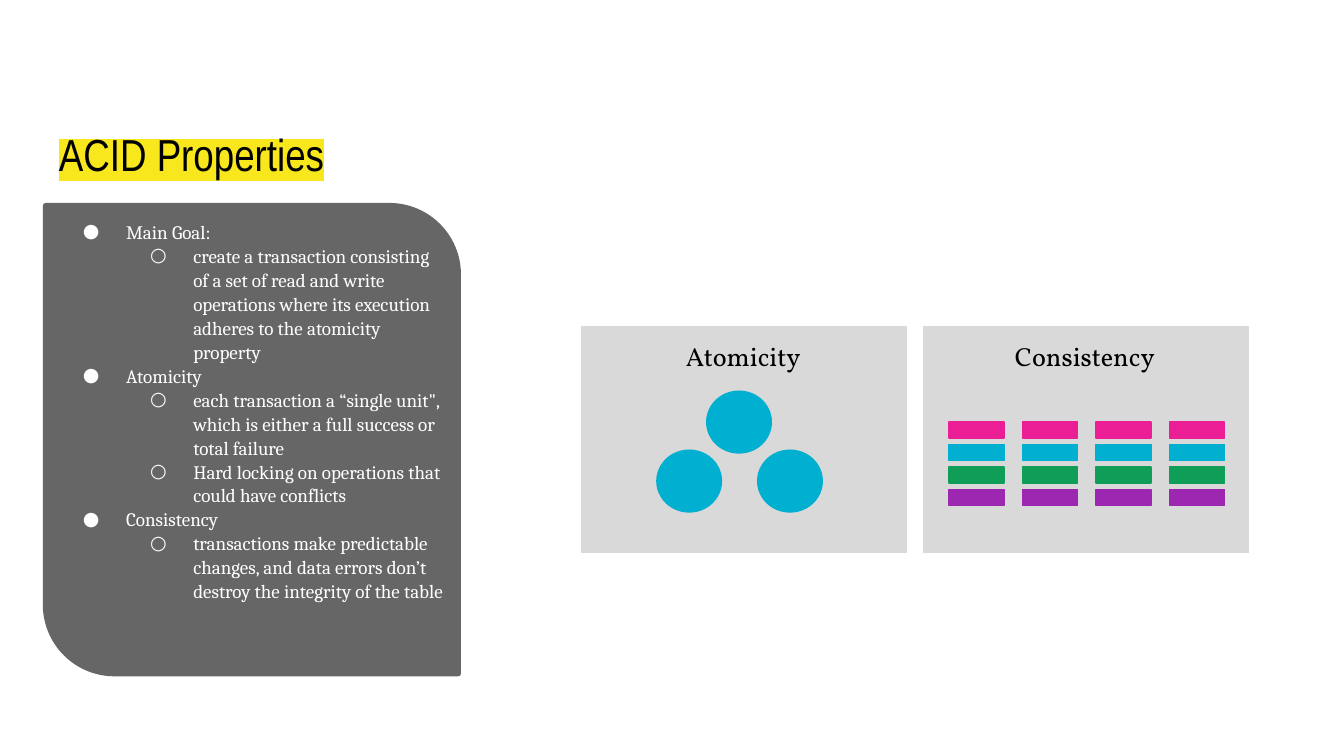
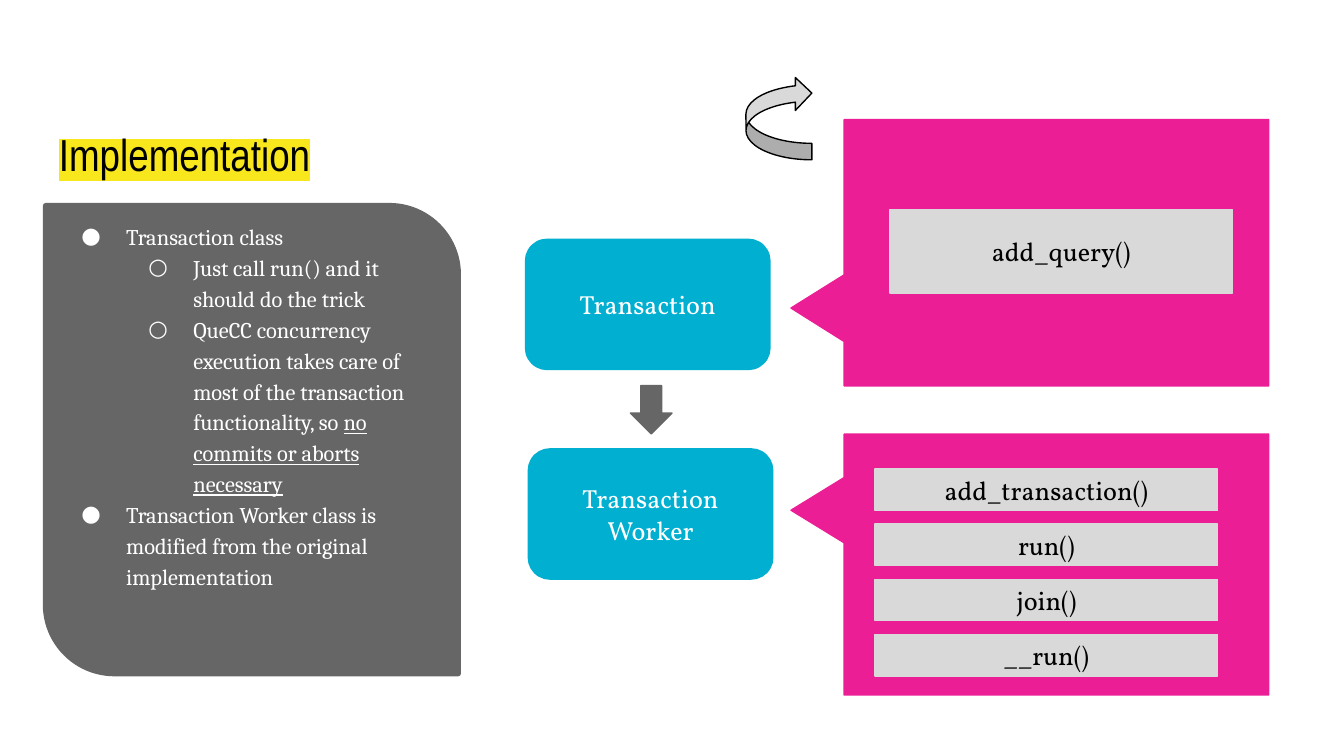
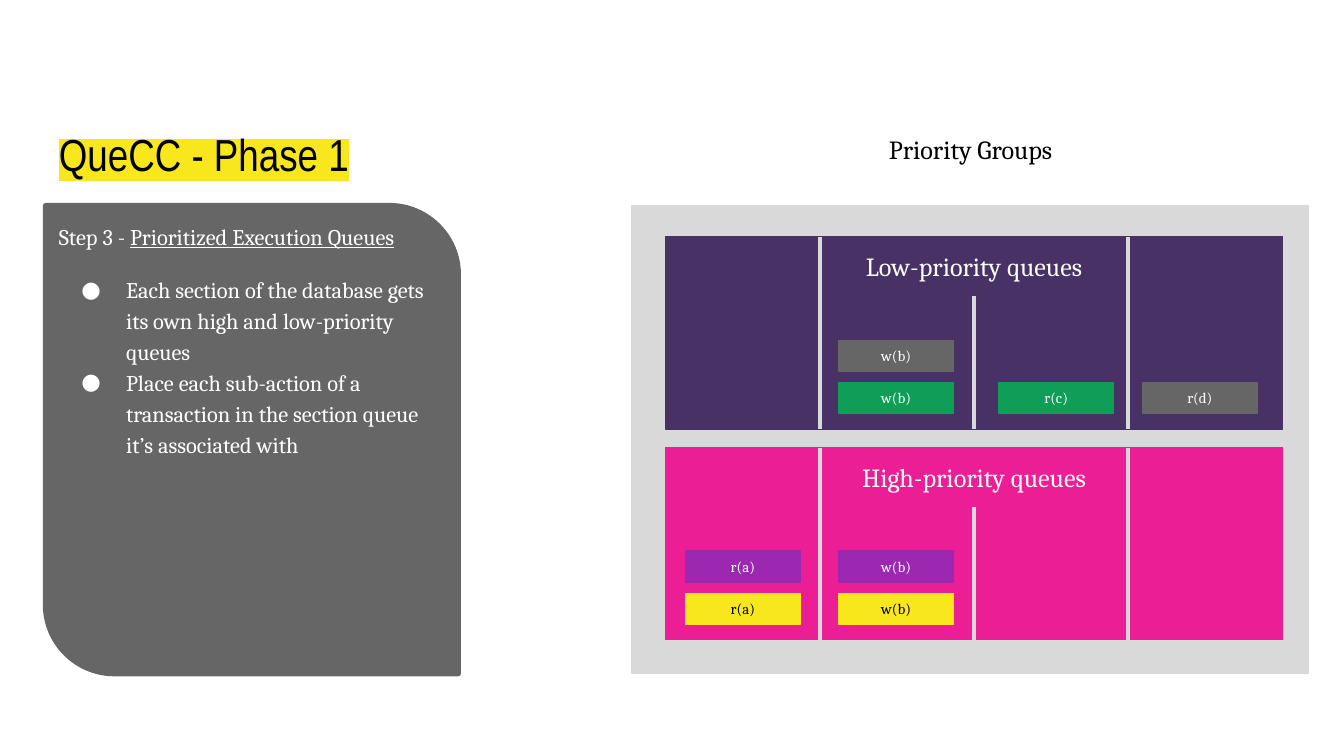
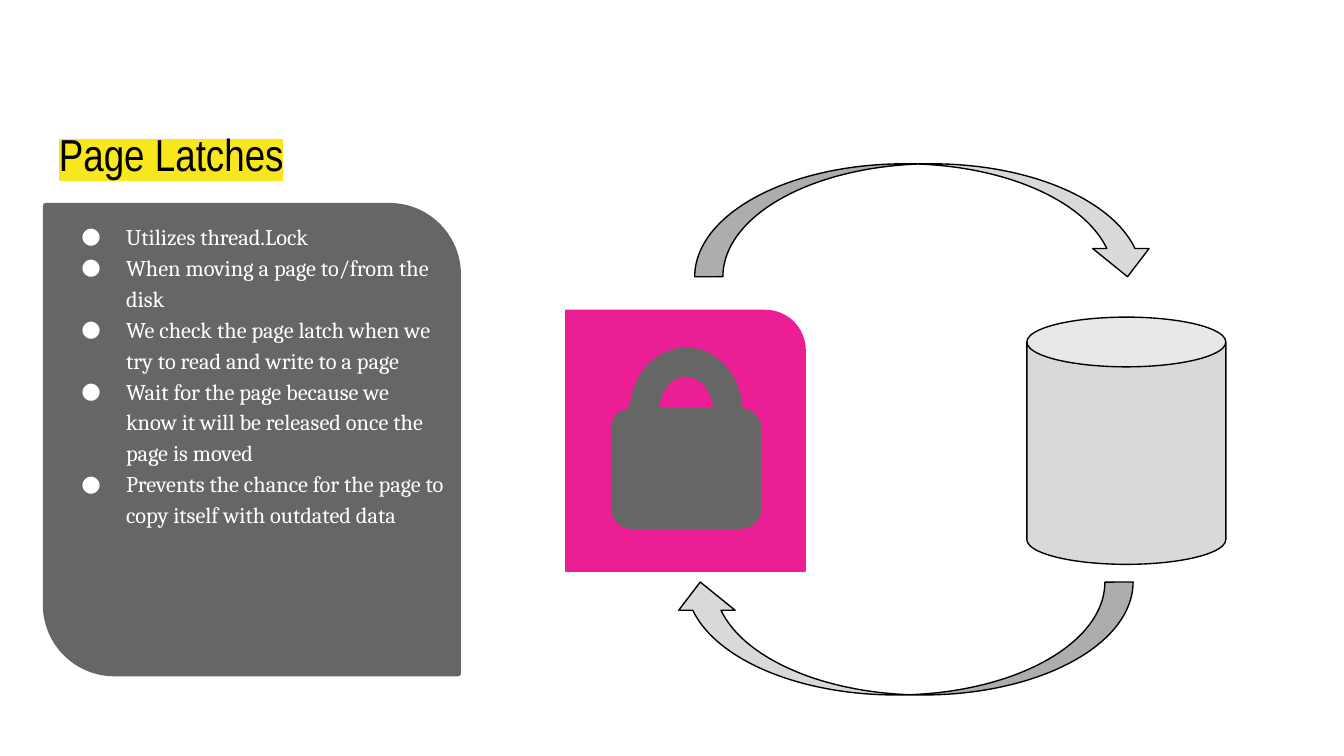
from lxml import etree
from pptx import Presentation
from pptx.dml.color import RGBColor
from pptx.enum.shapes import MSO_CONNECTOR, MSO_SHAPE
from pptx.enum.text import MSO_ANCHOR, PP_ALIGN
from pptx.oxml.ns import qn
from pptx.util import Pt

BLACK = RGBColor(0x00, 0x00, 0x00)
WHITE = RGBColor(0xFF, 0xFF, 0xFF)
GRAY = RGBColor(0x66, 0x66, 0x66)
LIGHT = RGBColor(0xD9, 0xD9, 0xD9)
YELLOW = RGBColor(0xF8, 0xE7, 0x1C)
CYAN = RGBColor(0x01, 0xAF, 0xD1)
PINK = RGBColor(0xEB, 0x1E, 0x95)
GREEN = RGBColor(0x0F, 0x9D, 0x58)
PURPLE = RGBColor(0x9C, 0x27, 0xB0)
INDIGO = RGBColor(0x48, 0x31, 0x65)

RECT = MSO_SHAPE.RECTANGLE
OVAL = MSO_SHAPE.OVAL
DIAG_RECT = MSO_SHAPE.ROUND_2_DIAG_RECTANGLE
CORNER_RECT = MSO_SHAPE.ROUND_1_RECTANGLE
ROUND_RECT = MSO_SHAPE.ROUNDED_RECTANGLE
PROCESS = MSO_SHAPE.FLOWCHART_ALTERNATE_PROCESS
CALLOUT = MSO_SHAPE.RECTANGULAR_CALLOUT
DOWN_ARROW = MSO_SHAPE.DOWN_ARROW
CURVED_RIGHT = MSO_SHAPE.CURVED_RIGHT_ARROW
CURVED_DOWN = MSO_SHAPE.CURVED_DOWN_ARROW
BLOCK_ARC = MSO_SHAPE.BLOCK_ARC
CAN = MSO_SHAPE.CAN
STRAIGHT = MSO_CONNECTOR.STRAIGHT
TOP, MIDDLE, BOTTOM = MSO_ANCHOR.TOP, MSO_ANCHOR.MIDDLE, MSO_ANCHOR.BOTTOM
LEFT, CENTER = PP_ALIGN.LEFT, PP_ALIGN.CENTER

TITLE_FONT, BODY_FONT, LABEL_FONT = "Arial Narrow", "Cambria", "Vollkorn"
PANEL = (24.5, 43.9, 221, 316.9)
TITLE_H, CARD_TOP = 59.8, 66.3
LABEL_H = 31.7
BULLETS = "●○"
CHIP_X = (10.8, 92.9, 178.6, 255.6)
CHIP_Y = (55.5, 78.1)


def points(*values):
    """Convert numbers to point lengths."""
    return [Pt(v) for v in values]


def prepare(tf, anchor):
    """Set wrapping, insets and anchor of a text frame."""
    tf.word_wrap = True
    tf.vertical_anchor = anchor
    tf.margin_left = tf.margin_right = tf.margin_top = tf.margin_bottom = Pt(7.2)


def add_run(p, text, size, font, color):
    """Add one styled run to a paragraph."""
    r = p.add_run()
    r.text = text
    r.font.size = Pt(size)
    r.font.color.rgb = color
    r.font.name = font
    return r


def write(sp, text, size, font, color, anchor=MIDDLE, align=CENTER):
    """Write the lines of a text into a shape."""
    tf = sp.text_frame
    prepare(tf, anchor)
    for i, line in enumerate(text.split("\n")):
        p = tf.add_paragraph() if i else tf.paragraphs[0]
        p.alignment = align
        add_run(p, line, size, font, color)


def add_box(s, kind, box, fill, line=None, width=0.75):
    """Add a filled preset shape, outlined in its own colour by default."""
    sp = s.shapes.add_shape(kind, *points(*box))
    sp.shadow.inherit = False
    sp.fill.solid()
    sp.fill.fore_color.rgb = fill
    sp.line.color.rgb = fill if line is None else line
    sp.line.width = Pt(width)
    return sp


def add_label(s, box, text, font, color=BLACK):
    """Add a centred heading in a text box."""
    write(s.shapes.add_textbox(*points(*box)), text, 14, font, color, TOP)


def add_title(s, box, text):
    """Add the highlighted slide title."""
    tb = s.shapes.add_textbox(*points(*box))
    write(tb, text, 24, TITLE_FONT, BLACK, BOTTOM, LEFT)
    rPr = tb.text_frame.paragraphs[0].runs[0].font._element
    mark = etree.Element(qn("a:highlight"))
    etree.SubElement(mark, qn("a:srgbClr"), val=str(YELLOW))
    rPr.find(qn("a:solidFill")).addnext(mark)


def set_bullet(p, level, size):
    """Give a paragraph the bullet and indent of its level."""
    pPr = p._p.get_or_add_pPr()
    pPr.set("marL", str(Pt(36 * (level + 1))))
    pPr.set("indent", str(-Pt(18 + size / 2)))
    clr = etree.SubElement(pPr, qn("a:buClr"))
    etree.SubElement(clr, qn("a:srgbClr"), val=str(WHITE))
    etree.SubElement(pPr, qn("a:buFont"), typeface=BODY_FONT)
    etree.SubElement(pPr, qn("a:buChar"), char=BULLETS[level])
    p.level = level


def add_panel(s, box, title, items, size=12, spacing=1.15):
    """Add the title and the card of (level, plain, underlined) items."""
    x, y, w, h = box
    add_title(s, (x, y, w, TITLE_H), title)
    card = (x, y + CARD_TOP, w, h - CARD_TOP)
    sp = add_box(s, DIAG_RECT, card, GRAY, width=3)
    sp.adjustments[0], sp.adjustments[1] = 0, 0.167
    tf = s.shapes.add_textbox(*points(*card)).text_frame
    prepare(tf, TOP)
    after_plain = False
    for i, (level, plain, underlined) in enumerate(items):
        p = tf.add_paragraph() if i else tf.paragraphs[0]
        if level is not None:
            set_bullet(p, level, size)
        p.line_spacing = spacing
        if after_plain:
            p.space_before = Pt(12)
        after_plain = level is None
        add_run(p, plain, size, BODY_FONT, WHITE)
        if underlined:
            add_run(p, underlined, size, BODY_FONT, WHITE).font.underline = True


def add_property_card(s, box, heading):
    """Add a light card with its heading."""
    x, y, w, h = box
    add_box(s, RECT, box, LIGHT)
    add_label(s, (x - 0.5, y, w, LABEL_H), heading, LABEL_FONT)


def add_atomicity(s, box):
    """Add the card of three grouped circles."""
    x, y, w, h = box
    add_property_card(s, box, "Atomicity")
    for dx, dy in ((94.3, 66.2), (40.3, 66.2), (67, 34.6)):
        add_box(s, OVAL, (x + dx, y + dy, 34.6, 33.1), CYAN)


def add_consistency(s, box):
    """Add the card of four equal stacks of bars."""
    x, y, w, h = box
    add_property_card(s, box, "Consistency")
    for col in range(4):
        for row, color in enumerate((PINK, CYAN, GREEN, PURPLE)):
            bar = (x + 13.7 + 39.4 * col, y + 51.1 + 12 * row, 29.5, 8.6)
            add_box(s, RECT, bar, color)


def add_class_flow(s, box):
    """Add the two class nodes with the arrow between them."""
    x, y, w, h = box
    for dx, dy, name in ((0, 0, "Transaction"), (1.5, 112.3, "Transaction\nWorker")):
        sp = add_box(s, PROCESS, (x + dx, y + dy, w - 1.5, 69.8), CYAN)
        write(sp, name, 14, LABEL_FONT, WHITE)
    add_box(s, DOWN_ARROW, (x + 56.2, y + 78.4, 22.3, 25.9), GRAY)


def add_methods(s, box, tip, first, height, names):
    """Add a callout that lists methods from the offset of the first."""
    x, y, w, h = box
    sp = add_box(s, CALLOUT, box, PINK)
    sp.adjustments[0], sp.adjustments[1] = -0.625, tip
    dx, dy = first
    for i, name in enumerate(names):
        sp = add_box(s, RECT, (x + dx, y + dy + 29.5 * i, 183.6, height), LIGHT)
        write(sp, name, 14, LABEL_FONT, BLACK)


def add_loop_arrow(s, box):
    """Add the arrow that loops back upwards."""
    sp = add_box(s, CURVED_RIGHT, box, LIGHT, BLACK)
    sp.rotation = 180
    sp._element.spPr.find(qn("a:xfrm")).set("flipH", "1")


def add_divider(s, start, end):
    """Add a light line between two points."""
    cn = s.shapes.add_connector(STRAIGHT, *points(*start, *end))
    cn.line.color.rgb = LIGHT
    cn.line.width = Pt(2.25)
    etree.SubElement(cn._element.spPr, qn("a:effectLst"))
    return cn


def add_queues(s, box, color, heading, chips):
    """Add a band of four queues with (column, row, text, fill) chips."""
    x, y, w, h = box
    band = add_box(s, RECT, box, color)
    for col, row, text, fill in chips:
        sp = add_box(s, RECT, (x + CHIP_X[col], y + CHIP_Y[row], 61.2, 16.6), fill)
        write(sp, text, 8, BODY_FONT, BLACK if fill == YELLOW else WHITE)
    for i in (1, 2, 3):
        cx = x + w * i / 4
        cn = add_divider(s, (cx, y + LABEL_H if i == 2 else y), (cx, y + h))
        if i == 2:
            cn.end_connect(band, 2)
    add_label(s, (x, y, w, LABEL_H), heading, BODY_FONT, WHITE)


def add_priority_groups(s, box):
    """Add the board with both bands of queues."""
    x, y, w, h = box
    add_box(s, RECT, box, LIGHT)
    add_label(s, (x + 69.1, y - 46.1, 224.6, LABEL_H), "Priority Groups", BODY_FONT)
    bands = (
        (16.6, INDIGO, "Low-priority queues",
         ((1, 0, "w(b)", GRAY), (3, 1, "r(d)", GRAY),
          (1, 1, "w(b)", GREEN), (2, 1, "r(c)", GREEN))),
        (129.6, PINK, "High-priority queues",
         ((1, 0, "w(b)", PURPLE), (0, 0, "r(a)", PURPLE),
          (0, 1, "r(a)", YELLOW), (1, 1, "w(b)", YELLOW))),
    )
    for dy, color, heading, chips in bands:
        add_queues(s, (x + 18, y + dy, 330.5, 103), color, heading, chips)


def add_locked_page(s, box):
    """Add a page that carries a padlock."""
    x, y, w, h = box
    add_box(s, CORNER_RECT, box, PINK)
    add_box(s, BLOCK_ARC, (x + 34.6, y + 20.2, 59.8, 68.4), GRAY)
    add_box(s, ROUND_RECT, (x + 24.5, y + 52.6, 79.9, 64.1), GRAY)


def add_disk_cycle(s, box):
    """Add the page, the disk and the arrows between them."""
    x, y, w, h = box
    add_box(s, CAN, (x + 247, y + 82.1, 106.6, 132.5), LIGHT, BLACK)
    add_locked_page(s, (x, y + 78.5, 128.2, 139.7))
    add_box(s, CURVED_DOWN, (x + 69.1, y, 247, 60.5), LIGHT, BLACK)
    sp = add_box(s, CURVED_DOWN, (x + 56.9, y + h - 60.5, 247, 60.5), LIGHT, BLACK)
    sp.rotation = 180


def acid_slide(s):
    """Build the slide on ACID properties."""
    add_panel(s, PANEL, "ACID Properties", (
        (0, "Main Goal:", ""),
        (1, "create a transaction consisting of a set of read and write operations "
            "where its execution adheres to the atomicity property", ""),
        (0, "Atomicity", ""),
        (1, "each transaction a “single unit\", which is either a full success or "
            "total failure", ""),
        (1, "Hard locking on operations that could have conflicts", ""),
        (0, "Consistency", ""),
        (1, "transactions make predictable changes, and data errors don’t destroy "
            "the integrity of the table", ""),
    ), 10.2, 1.05)
    add_atomicity(s, (311.6, 175, 174.2, 121))
    add_consistency(s, (494.6, 175, 174.2, 121))


def implementation_slide(s):
    """Build the slide on the transaction classes."""
    add_panel(s, PANEL, "Implementation", (
        (0, "Transaction class", ""),
        (1, "Just call run() and it should do the trick", ""),
        (1, "QueCC concurrency execution takes care of most of the transaction "
            "functionality, so ", "no commits or aborts necessary"),
        (0, "Transaction Worker class is modified from the original "
            "implementation", ""),
    ))
    add_class_flow(s, (281.5, 128.2, 132.5, 182.1))
    add_methods(s, (452.2, 64.1, 227.5, 142.6), 0.208, (24.5, 48.2), 44.6,
                ("add_query()",))
    add_methods(s, (452.2, 232.6, 227.5, 139.7), -0.208, (16.6, 18.7), 22.3,
                ("add_transaction()", "run()", "join()", "__run()"))
    add_loop_arrow(s, (399.6, 41, 35.3, 44.6))


def queues_slide(s):
    """Build the slide on prioritized queues."""
    add_panel(s, PANEL, "QueCC - Phase 1", (
        (None, "Step 3 - ", "Prioritized Execution Queues"),
        (0, "Each section of the database gets its own high and low-priority "
            "queues", ""),
        (0, "Place each sub-action of a transaction in the section queue it’s "
            "associated with", ""),
    ))
    add_priority_groups(s, (338.6, 110.2, 362.2, 250.6))


def latches_slide(s):
    """Build the slide on page latches."""
    add_panel(s, PANEL, "Page Latches", (
        (0, "Utilizes thread.Lock", ""),
        (0, "When moving a page to/from the disk", ""),
        (0, "We check the page latch when we try to read and write to a page", ""),
        (0, "Wait for the page because we know it will be released once the page "
            "is moved", ""),
        (0, "Prevents the chance for the page to copy itself with outdated "
            "data", ""),
    ))
    add_disk_cycle(s, (303.1, 87.8, 353.6, 284.5))


def main():
    """Build and save the deck."""
    prs = Presentation()
    prs.slide_width, prs.slide_height = Pt(720), Pt(405)
    for build in (acid_slide, implementation_slide, queues_slide, latches_slide):
        build(prs.slides.add_slide(prs.slide_layouts[6]))
    prs.save("out.pptx")


if __name__ == "__main__":
    main()
